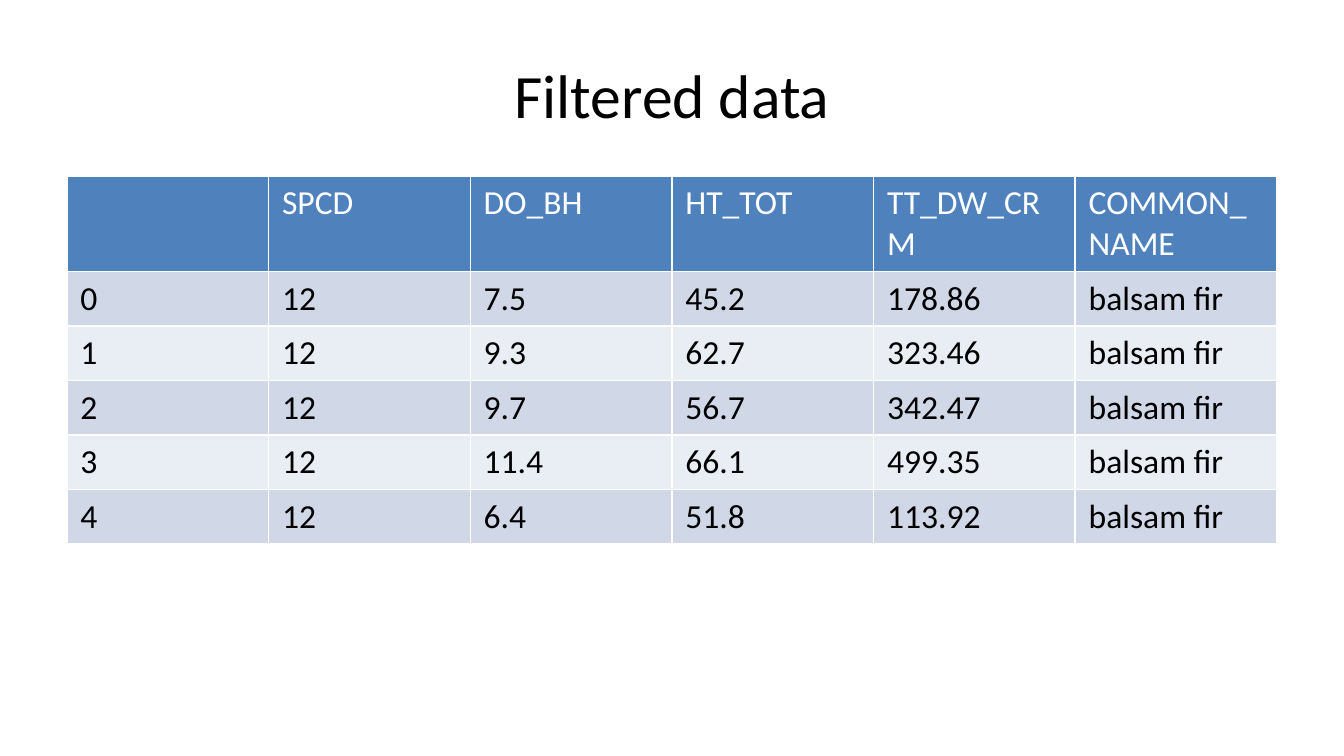
from dataclasses import dataclass

from lxml import etree
from pptx import Presentation
from pptx.dml.color import RGBColor
from pptx.enum.text import MSO_ANCHOR, PP_ALIGN
from pptx.oxml.ns import qn
from pptx.util import Pt

MIDDLE = MSO_ANCHOR.MIDDLE
LEFT, CENTER = PP_ALIGN.LEFT, PP_ALIGN.CENTER

TITLE = "Filtered data"
HEADER = ["", "SPCD", "DO_BH", "HT_TOT", "TT_DW_CRM", "COMMON_NAME"]
TREES = [
    ["0", "12", "7.5", "45.2", "178.86", "balsam fir"],
    ["1", "12", "9.3", "62.7", "323.46", "balsam fir"],
    ["2", "12", "9.7", "56.7", "342.47", "balsam fir"],
    ["3", "12", "11.4", "66.1", "499.35", "balsam fir"],
    ["4", "12", "6.4", "51.8", "113.92", "balsam fir"],
]

PX_PER_INCH = 134.4
SLIDE_SIZE = (1344, 756)
MARGIN = 67
CONTENT_WIDTH = SLIDE_SIZE[0] - 2 * MARGIN
TITLE_TOP, TITLE_HEIGHT = 31, 126
TABLE_TOP, HEADER_HEIGHT, ROW_HEIGHT = 176, 95, 54


@dataclass(frozen=True)
class Theme:
    font: str = "Calibri"
    title_size: int = 33
    cell_size: int = 18
    border_width: int = 1
    text: str = "000000"
    header_text: str = "FFFFFF"
    header_fill: str = "4F81BD"
    band_fills: tuple = ("D0D8E8", "E9EDF4")
    border: str = "FFFFFF"


THEME = Theme()


def px(length):
    return round(length * 914400 / PX_PER_INCH)


def write(frame, text, *, size, color, align=LEFT):
    para = frame.paragraphs[0]
    para.alignment = align
    if not text:
        para.font.size = Pt(size)
        return
    span = para.add_run()
    span.text = text
    span.font.name = THEME.font
    span.font.size = Pt(size)
    span.font.bold = False
    span.font.color.rgb = RGBColor.from_string(color)


def add_borders(cell):
    """Draw all four sides; must run before the cell gets its fill."""
    properties = cell._tc.get_or_add_tcPr()
    for side in ("lnL", "lnR", "lnT", "lnB"):
        line = etree.SubElement(properties, qn(f"a:{side}"), w=str(Pt(THEME.border_width)))
        fill = etree.SubElement(line, qn("a:solidFill"))
        etree.SubElement(fill, qn("a:srgbClr"), val=THEME.border)


def add_title(page):
    title = page.shapes.title
    title.left, title.top = px(MARGIN), px(TITLE_TOP)
    title.width, title.height = px(CONTENT_WIDTH), px(TITLE_HEIGHT)
    title.text_frame.vertical_anchor = MIDDLE
    write(title.text_frame, TITLE, size=THEME.title_size, color=THEME.text, align=CENTER)


def add_tree_table(page):
    rows = [HEADER, *TREES]
    height = HEADER_HEIGHT + ROW_HEIGHT * len(TREES)
    table = page.shapes.add_table(
        len(rows), len(HEADER), px(MARGIN), px(TABLE_TOP), px(CONTENT_WIDTH), px(height)
    ).table
    for index, values in enumerate(rows):
        is_header = index == 0
        table.rows[index].height = px(HEADER_HEIGHT if is_header else ROW_HEIGHT)
        fill = THEME.header_fill if is_header else THEME.band_fills[(index - 1) % 2]
        color = THEME.header_text if is_header else THEME.text
        for cell, value in zip(table.rows[index].cells, values):
            add_borders(cell)
            cell.fill.solid()
            cell.fill.fore_color.rgb = RGBColor.from_string(fill)
            write(cell.text_frame, value, size=THEME.cell_size, color=color)


def main():
    deck = Presentation()
    deck.slide_width, deck.slide_height = map(px, SLIDE_SIZE)
    page = deck.slides.add_slide(deck.slide_layouts[5])
    add_title(page)
    add_tree_table(page)
    deck.save("out.pptx")


if __name__ == "__main__":
    main()
